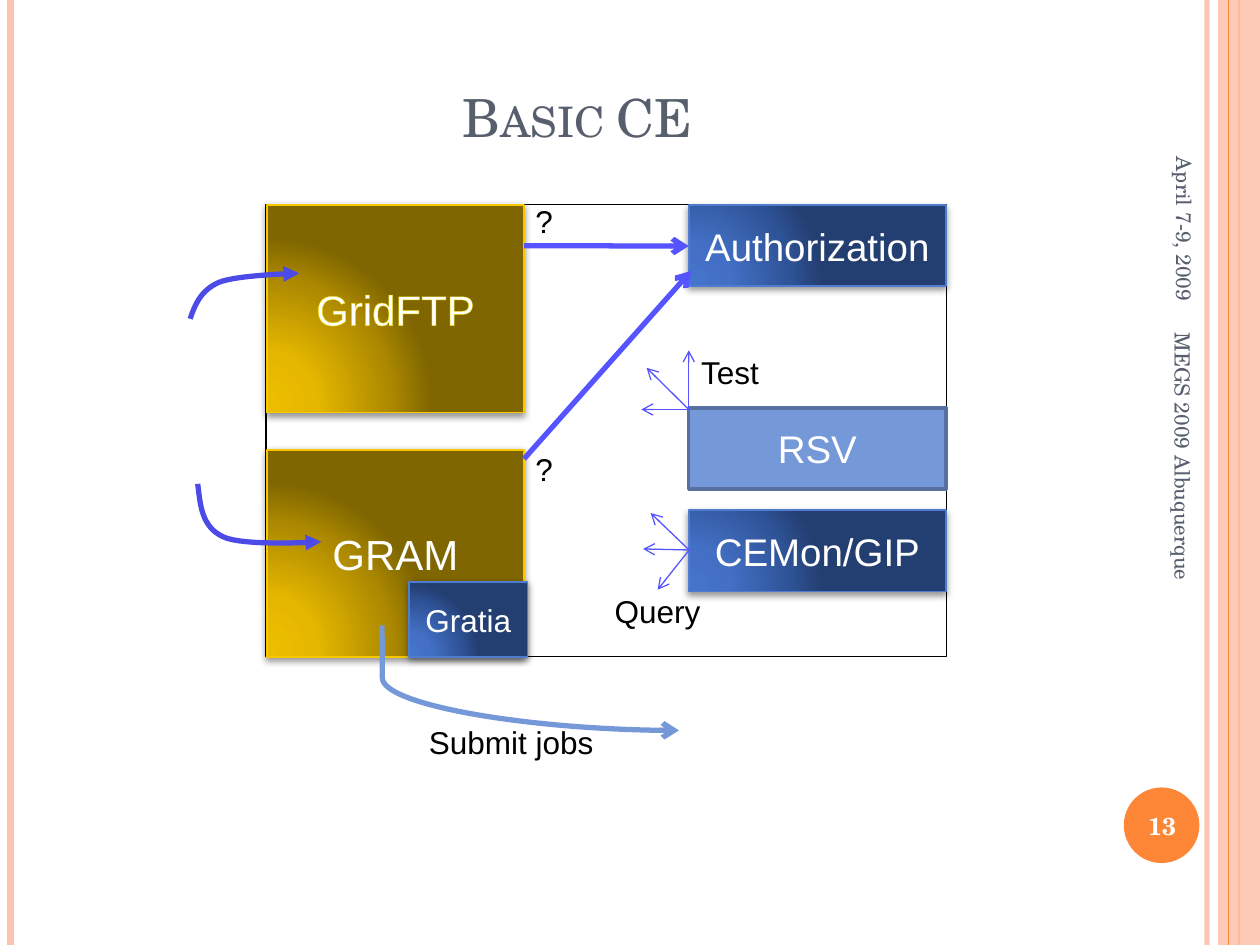
from dataclasses import dataclass

from lxml import etree
from pptx import Presentation
from pptx.dml.color import RGBColor
from pptx.enum.shapes import MSO_CONNECTOR, MSO_SHAPE
from pptx.enum.text import MSO_ANCHOR, PP_ALIGN
from pptx.oxml.ns import qn
from pptx.util import Pt

RECTANGLE, OVAL = MSO_SHAPE.RECTANGLE, MSO_SHAPE.OVAL
STRAIGHT, CURVE = MSO_CONNECTOR.STRAIGHT, MSO_CONNECTOR.CURVE
LEFT, CENTER, RIGHT = PP_ALIGN.LEFT, PP_ALIGN.CENTER, PP_ALIGN.RIGHT
TOP, MIDDLE = MSO_ANCHOR.TOP, MSO_ANCHOR.MIDDLE


@dataclass(frozen=True)
class Theme:
    heading_font: str = "TeX Gyre Schola"
    body_font: str = "Arial"
    title_size: int = 30
    large_size: int = 24
    box_size: int = 22
    label_size: int = 18
    number_size: int = 14
    footer_size: int = 12
    slate: str = "575F6D"
    white: str = "FFFFFF"
    black: str = "000000"
    peach: str = "FEC3AE"
    orange: str = "FE8637"
    arrow: str = "5554FF"
    inbound: str = "4C4BE7"
    light_blue: str = "7598D9"
    light_blue_edge: str = "5770A1"
    blue_edge: str = "4F7CCF"
    gold_edge: str = "F8C700"
    glow: str = "F2D908"
    blue_stops: tuple = ((0, "4574CC"), (30, "4370C5"), (75, "2F5397"), (100, "233E70"))
    gold_stops: tuple = ((0, "EDBE00"), (30, "E5B700"), (75, "AC8900"), (100, "7F6600"))


def add_element(parent, tag, **attributes):
    values = {name: str(value) for name, value in attributes.items()}
    return etree.SubElement(parent, qn(tag), values)


def add_color(parent, color):
    return add_element(parent, "a:srgbClr", val=color)


def set_opacity(properties, percent):
    color = next(properties.iter(qn("a:srgbClr")))
    add_element(color, "a:alpha", val=percent * 1000)


def bezier_points(start, first, second, end, steps=16):
    for step in range(1, steps + 1):
        t = step / steps
        weights = ((1 - t) ** 3, 3 * t * (1 - t) ** 2, 3 * t * t * (1 - t), t ** 3)
        yield tuple(
            sum(weight * value for weight, value in zip(weights, values))
            for values in zip(start, first, second, end)
        )


class SlideBuilder:
    """Draws styled elements on one slide; all lengths are in points."""

    def __init__(self, slide, theme):
        self.slide = slide
        self.shapes = slide.shapes
        self.theme = theme

    def set_text(self, shape, text, size, color, font=None, align=CENTER, anchor=MIDDLE, wrap=True):
        frame = shape.text_frame
        frame.text = text
        frame.word_wrap = wrap
        frame.vertical_anchor = anchor
        paragraph = frame.paragraphs[0]
        paragraph.alignment = align
        run = paragraph.runs[0]
        run.font.name = font or self.theme.body_font
        run.font.size = Pt(size)
        run.font.color.rgb = RGBColor.from_string(color)
        return run

    def title(self, text, left, top, width, height):
        shape = self.shapes.title
        shape.left, shape.top, shape.width, shape.height = map(Pt, (left, top, width, height))
        theme = self.theme
        run = self.set_text(shape, text, theme.title_size, theme.slate, theme.heading_font)
        run.font._element.set("cap", "small")

    def text(self, text, left, top, width, height, size, color, rotation=0, **style):
        shape = self.shapes.add_textbox(Pt(left), Pt(top), Pt(width), Pt(height))
        shape.rotation = rotation
        return self.set_text(shape, text, size, color, **style)

    def label(self, text, left, top, width):
        self.text(text, left, top, width, 29, self.theme.label_size, self.theme.black,
                  align=LEFT, anchor=TOP, wrap=False)

    def style_line(self, line, color, width):
        line.color.rgb = RGBColor.from_string(color)
        line.width = Pt(width)

    def shape(self, kind, left, top, width, height, fill=None, edge=None, edge_width=1):
        shape = self.shapes.add_shape(kind, Pt(left), Pt(top), Pt(width), Pt(height))
        shape.shadow.inherit = False
        if fill:
            shape.fill.solid()
            shape.fill.fore_color.rgb = RGBColor.from_string(fill)
        else:
            shape.fill.background()
        if edge:
            self.style_line(shape.line, edge, edge_width)
        else:
            shape.line.fill.background()
        return shape

    def glossy_box(self, text, left, top, width, height, size, stops, edge):
        """Adds a box with a radial gradient, a soft shadow and a caption."""
        shape = self.shape(RECTANGLE, left, top, width, height, edge=edge)
        properties = shape._element.spPr
        gradient = etree.Element(qn("a:gradFill"), rotWithShape="1")
        stop_list = add_element(gradient, "a:gsLst")
        for position, color in stops:
            add_color(add_element(stop_list, "a:gs", pos=position * 1000), color)
        radial = add_element(gradient, "a:path", path="circle")
        add_element(radial, "a:fillToRect", l=5000, t=100000, r=120000, b=10000)
        properties.replace(properties.find(qn("a:noFill")), gradient)
        shadow = add_element(properties.find(qn("a:effectLst")), "a:outerShdw",
                             blurRad=Pt(4), dist=Pt(1.6), dir=90 * 60000, rotWithShape=0)
        add_element(add_color(shadow, self.theme.black), "a:alpha", val=42000)
        return self.set_text(shape, text, size, self.theme.white)

    def line(self, start, end, color, width, head=None, kind=STRAIGHT):
        connector = self.shapes.add_connector(kind, *map(Pt, (*start, *end)))
        self.style_line(connector.line, color, width)
        properties = connector._element.spPr
        add_element(properties, "a:effectLst")
        if head:
            add_element(properties.find(qn("a:ln")), "a:tailEnd", type=head)
        return connector

    def curved_arrow(self, start, *segments):
        """Adds an open arrow; each segment holds two control points and an end."""
        points, current = [], start
        for first, second, end in segments:
            points.extend(bezier_points(current, first, second, end))
            current = end
        builder = self.shapes.build_freeform(*map(Pt, start))
        builder.add_line_segments([(Pt(x), Pt(y)) for x, y in points], close=False)
        shape = builder.convert_to_shape()
        shape.shadow.inherit = False
        shape.fill.background()
        self.style_line(shape.line, self.theme.inbound, 3)
        add_element(shape._element.spPr.find(qn("a:ln")), "a:tailEnd", type="triangle")


def draw_frame(builder):
    theme = builder.theme
    edge = builder.line((689.8, 0), (689.8, 540), theme.peach, 3)
    set_opacity(edge._element.spPr, 93)
    builder.line((6, 0), (6, 540), theme.peach, 4.5)
    builder.line((708, 0), (708, 540), theme.orange, 1.5)
    band = builder.shape(RECTANGLE, 696, 0, 24, 540, theme.peach)
    set_opacity(band._element.spPr, 87)
    builder.line((702, 0), (702, 540), theme.orange, 0.75)
    builder.shape(OVAL, 642.2, 450, 43.2, 43.2, theme.orange)
    heading = theme.heading_font
    builder.text("April 7-9, 2009", 597.6, 85, 158.4, 30, theme.footer_size, theme.slate,
                 rotation=90, font=heading, align=RIGHT)
    number = builder.text("13", 640, 451.4, 48.2, 41, theme.number_size, theme.white, font=heading)
    number.font.bold = True
    builder.text("MEGS 2009 Albuquerque", 550, 294.5, 252, 28.8, theme.footer_size, theme.slate,
                 rotation=90, font=heading, align=LEFT)


def draw_diagram(builder):
    theme = builder.theme
    builder.shape(RECTANGLE, 152, 116.8, 388.8, 258.5, edge=theme.black, edge_width=0.75)
    gold = (theme.large_size, theme.gold_stops, theme.gold_edge)
    blue = (theme.blue_stops, theme.blue_edge)
    builder.glossy_box("GRAM", 152.5, 257, 147, 118.6, *gold)
    grid_ftp = builder.glossy_box("GridFTP", 152.5, 117.2, 147, 118.6, *gold)
    outline = etree.Element(qn("a:ln"), w=str(Pt(0.75)))
    add_color(add_element(outline, "a:solidFill"), theme.glow)
    grid_ftp.font._element.insert(0, outline)

    service_left, service_size = 393.6, (147, 46.4)
    for text, top in (("Authorization", 117.2), ("CEMon/GIP", 291.6)):
        builder.glossy_box(text, service_left, top, *service_size, theme.box_size, *blue)
    rsv = builder.shape(RECTANGLE, service_left, 233, *service_size,
                        theme.light_blue, theme.light_blue_edge, 2)
    builder.set_text(rsv, "RSV", theme.box_size, theme.white)

    submit = builder.line((218.2, 357.4), (388, 417.4), theme.light_blue, 3, "arrow", CURVE)
    adjustments = submit._element.spPr.find(qn("a:prstGeom")).get_or_add_avLst()
    add_element(adjustments, "a:gd", name="adj1", fmla="val 200")
    for start, end in (((299.5, 140.4), (393.6, 140.6)), ((299.5, 262.2), (395, 154.8))):
        builder.line(start, end, theme.arrow, 3, "arrow")
    rays = (
        ((393.6, 234), ((366.5, 234), (369.5, 210.2), (393.6, 200.2))),
        ((393.8, 314.3), ((367.5, 313.7), (371.8, 293.2), (375.8, 337))),
    )
    for origin, tips in rays:
        for tip in tips:
            builder.line(origin, tip, theme.arrow, 0.75, "arrow")

    for label in (("Submit jobs", 238, 409.7, 109.4), ("?", 298.8, 111.9, 24.5),
                  ("?", 298.8, 253.8, 24.5), ("Test", 393.6, 198.3, 47.5),
                  ("Query", 344.2, 335, 64)):
        builder.label(*label)
    builder.glossy_box("Gratia", 233.8, 332.6, 67.7, 43, theme.label_size, *blue)
    builder.curved_arrow((113, 276.5),
                         ((114.5, 288.7), (115.2, 301), (127.4, 306.7)),
                         ((139, 312.5), (183.6, 309.6), (183.6, 309.6)))
    builder.curved_arrow((108.7, 182.2),
                         ((111.6, 173.5), (115.2, 165.6), (125.3, 161.3)),
                         ((136, 157), (171, 156.2), (171, 156.2)))


def main():
    presentation = Presentation()
    presentation.slide_width, presentation.slide_height = Pt(720), Pt(540)
    slide = presentation.slides.add_slide(presentation.slide_layouts[5])
    builder = SlideBuilder(slide, Theme())
    draw_frame(builder)
    builder.title("Basic CE", 36, 21.6, 588, 90)
    draw_diagram(builder)
    presentation.save("out.pptx")


if __name__ == "__main__":
    main()
